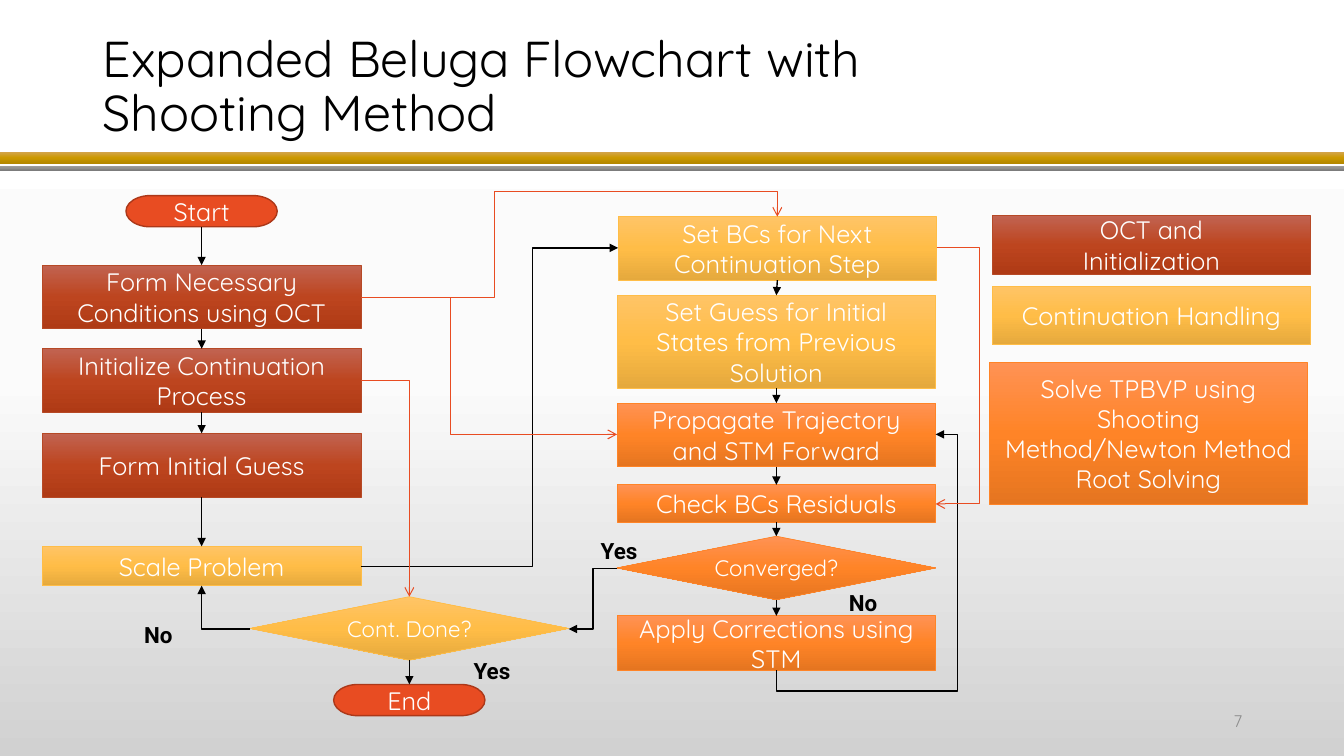
"""Builds the flowchart slide of the shooting method."""
from copy import deepcopy
from dataclasses import dataclass

from lxml import etree
from pptx import Presentation
from pptx.dml import color as dml, fill as fills
from pptx.enum import shapes as kinds, text as txt
from pptx.oxml import ns
from pptx.util import Inches, Pt

COLORS = {"black": "000000", "white": "FFFFFF", "number": "8C8C8C", "accent": "E84C22",
          "accent_edge": "AC3819", "oct": "B64926", "continuation": "FFBD47", "solve": "FF8427"}
GRADIENTS = {
    "background": ("FFFFFF", "FBFBFB", "D1D1D1"),
    "gold": ("D3A44B", "CC9900", "B58800"),
    "gray": ("9D9D9D", "909090", "7C7C7C"),
    "oct": ("C16351", "BD451F", "AF3A15"),
    "continuation": ("FFC466", "FFBD47", "E5A93D"),
    "solve": ("FF9254", "FF8427", "E57520"),
}
SHAPE = kinds.MSO_SHAPE
ALIGN = txt.PP_ALIGN
BOX, DECISION, TERMINAL = (SHAPE.FLOWCHART_PROCESS, SHAPE.FLOWCHART_DECISION,
                           SHAPE.FLOWCHART_TERMINATOR)
STEP_WIDTH, STEP_HEIGHT = 3.16, 0.63
LEFT_COLUMN, MIDDLE_COLUMN, KEY_COLUMN = 0.42, 6.12, 9.84


@dataclass
class Step:
    text: str
    left: float
    top: float
    role: str
    height: float = STEP_HEIGHT
    kind: int = BOX
    width: float = STEP_WIDTH
    size: int = 18


@dataclass
class Elbow:
    begin: tuple[float, float]
    end: tuple[float, float]
    bends: int
    adjust: tuple[float, ...] = ()
    turn: int = 0
    color: str = "black"


@dataclass
class Label:
    text: str
    left: float
    top: float
    width: float = 1
    height: float = 0.31
    size: int = 16
    font: str = "Roboto"
    bold: bool = True
    color: str = "black"
    align: int = ALIGN.CENTER
    anchor: int = txt.MSO_ANCHOR.TOP
    spacing: float = 1.0


STEPS = {
    "start": Step("Start", 1.25, 1.94, "accent", 0.31, TERMINAL, 1.5),
    "end": Step("End", 3.31, 6.79, "accent", 0.31, TERMINAL, 1.5),
    "form": Step("Form Necessary Conditions using OCT", LEFT_COLUMN, 2.63, "oct"),
    "initialize": Step("Initialize Continuation Process", LEFT_COLUMN, 3.46, "oct"),
    "guess": Step("Form Initial Guess", LEFT_COLUMN, 4.3, "oct"),
    "scale": Step("Scale Problem", LEFT_COLUMN, 5.42, "continuation", 0.39),
    "set_bcs": Step("Set BCs for Next Continuation Step", 6.13, 2.15, "continuation"),
    "set_guess": Step("Set Guess for Initial States from Previous Solution",
                      MIDDLE_COLUMN, 2.93, "continuation", 0.92),
    "propagate": Step("Propagate Trajectory and STM Forward", MIDDLE_COLUMN, 4, "solve"),
    "check": Step("Check BCs Residuals", MIDDLE_COLUMN, 4.81, "solve", 0.37),
    "converged": Step("Converged?", MIDDLE_COLUMN, 5.32, "solve", kind=DECISION, size=16),
    "correct": Step("Apply Corrections using STM", MIDDLE_COLUMN, 6.11, "solve", 0.54),
    "done": Step("Cont. Done?", 2.48, 5.92, "continuation", kind=DECISION, size=16),
    "key_oct": Step("OCT and\nInitialization", KEY_COLUMN, 2.14, "oct", 0.58),
    "key_continuation": Step("Continuation Handling", KEY_COLUMN, 2.84, "continuation", 0.58),
    "key_solve": Step("Solve TPBVP using Shooting Method/Newton Method Root Solving",
                      9.81, 3.6, "solve", 1.4),
}
CHAINS = (
    ("start", "form", "initialize", "guess", "scale"),
    ("set_bcs", "set_guess", "propagate", "check", "converged", "correct"),
    ("done", "end"),
)
ELBOWS = (
    Elbow((2, 5.81), (2.48, 6.24), 2, turn=180),
    Elbow((3.58, 5.62), (6.13, 2.46), 3, (0.667,)),
    Elbow((9.66, 6.27), (7.32, 4.69), 4, (-0.088, 1.137), 90),
    Elbow((5.64, 6.24), (6.12, 5.64), 3, (0.5,), 180),
    Elbow((3.58, 3.78), (4.06, 5.92), 2, color="accent"),
    Elbow((3.58, 2.95), (6.12, 4.31), 3, (0.348,), color="accent"),
    Elbow((3.58, 2.95), (7.71, 2.15), 4, (0.322, 1.312), color="accent"),
    Elbow((9.29, 2.46), (9.28, 5), 3, (-43,), color="accent"),
)
LABELS = (
    Label("Expanded Beluga Flowchart with Shooting Method", 0.92, 0.4, 9.46, 0.95, 36,
          "Quicksand", False, align=ALIGN.LEFT, anchor=txt.MSO_ANCHOR.MIDDLE, spacing=0.9),
    Label("7", 9.42, 6.95, 3, 0.4, 12, "Quicksand", False, "number", ALIGN.RIGHT,
          txt.MSO_ANCHOR.MIDDLE),
    Label("Yes", 4.38, 6.47),
    Label("Yes", 5.64, 5.28),
    Label("No", 8.06, 5.8),
    Label("No", 1.07, 6.11),
)


def rgb(name: str) -> dml.RGBColor:
    return dml.RGBColor.from_string(COLORS[name])


def paint_gradient(fill: fills.FillFormat, owner: etree._Element, name: str) -> None:
    fill.gradient()
    fill.gradient_angle = 270
    stops = next(owner.iter(ns.qn("a:gsLst")))
    stops.append(deepcopy(stops[0]))
    for stop, position, shade in zip(fill.gradient_stops, (0, 0.5, 1), GRADIENTS[name]):
        stop.position = position
        stop.color.rgb = dml.RGBColor.from_string(shade)


def write(frame, content: str, size: int, color: str, align: int, anchor: int,
          font: str = "Quicksand", bold: bool = False, spacing: float = 1.0) -> None:
    frame.word_wrap = True
    frame.vertical_anchor = anchor
    frame.text = content
    for paragraph in frame.paragraphs:
        paragraph.alignment = align
        paragraph.line_spacing = spacing
        paragraph.font.size = Pt(size)
        paragraph.font.name = font
        paragraph.font.bold = bold
        paragraph.font.color.rgb = rgb(color)


def draw_band(slide, top: float, height: float, gradient: str) -> None:
    band = slide.shapes.add_shape(SHAPE.RECTANGLE, 0, Inches(top), Inches(13.33), Inches(height))
    band.shadow.inherit = False
    paint_gradient(band.fill, band._element, gradient)
    band.line.fill.background()


def draw_step(slide, step: Step):
    node = slide.shapes.add_shape(step.kind, Inches(step.left), Inches(step.top),
                                  Inches(step.width), Inches(step.height))
    node.shadow.inherit = False
    if step.role in GRADIENTS:
        paint_gradient(node.fill, node._element, step.role)
        node.line.color.rgb, node.line.width = rgb(step.role), Pt(0.5)
    else:
        node.fill.solid()
        node.fill.fore_color.rgb = rgb(step.role)
        node.line.color.rgb, node.line.width = rgb("accent_edge"), Pt(1)
    write(node.text_frame, step.text, step.size, "white", ALIGN.CENTER, txt.MSO_ANCHOR.MIDDLE)
    return node


def style_arrow(arrow, color: str) -> None:
    accent = color == "accent"
    arrow.line.color.rgb = rgb(color)
    arrow.line.width = Pt(0.75 if accent else 1)
    properties = arrow._element.spPr
    etree.SubElement(properties.find(ns.qn("a:ln")), ns.qn("a:tailEnd"),
                     type="arrow" if accent else "triangle")
    etree.SubElement(properties, ns.qn("a:effectLst"))


def draw_elbow(slide, elbow: Elbow) -> None:
    arrow = slide.shapes.add_connector(
        kinds.MSO_CONNECTOR.ELBOW, *(Inches(v) for v in elbow.begin + elbow.end))
    properties = arrow._element.spPr
    if elbow.turn:
        properties.find(ns.qn("a:xfrm")).set("rot", str(elbow.turn * 60000))
    geometry = properties.find(ns.qn("a:prstGeom"))
    geometry.set("prst", f"bentConnector{elbow.bends}")
    guides = geometry.find(ns.qn("a:avLst"))
    for number, value in enumerate(elbow.adjust, 1):
        etree.SubElement(guides, ns.qn("a:gd"), name=f"adj{number}",
                         fmla=f"val {round(value * 100000)}")
    style_arrow(arrow, elbow.color)


def main() -> None:
    deck = Presentation()
    deck.slide_width, deck.slide_height = Inches(13.33), Inches(7.5)
    slide = deck.slides.add_slide(deck.slide_layouts[6])
    paint_gradient(slide.background.fill, slide._element, "background")
    draw_band(slide, 1.51, 0.11, "gold")
    draw_band(slide, 1.65, 0.04, "gray")
    nodes = {key: draw_step(slide, step) for key, step in STEPS.items()}
    for chain in CHAINS:
        for source, target in zip(chain, chain[1:]):
            arrow = slide.shapes.add_connector(kinds.MSO_CONNECTOR.STRAIGHT, 0, 0, 0, 0)
            arrow.begin_connect(nodes[source], 2)
            arrow.end_connect(nodes[target], 0)
            style_arrow(arrow, "black")
    for elbow in ELBOWS:
        draw_elbow(slide, elbow)
    for label in LABELS:
        box = slide.shapes.add_textbox(Inches(label.left), Inches(label.top),
                                       Inches(label.width), Inches(label.height))
        write(box.text_frame, label.text, label.size, label.color, label.align, label.anchor,
              label.font, label.bold, label.spacing)
    deck.save("out.pptx")


if __name__ == "__main__":
    main()
